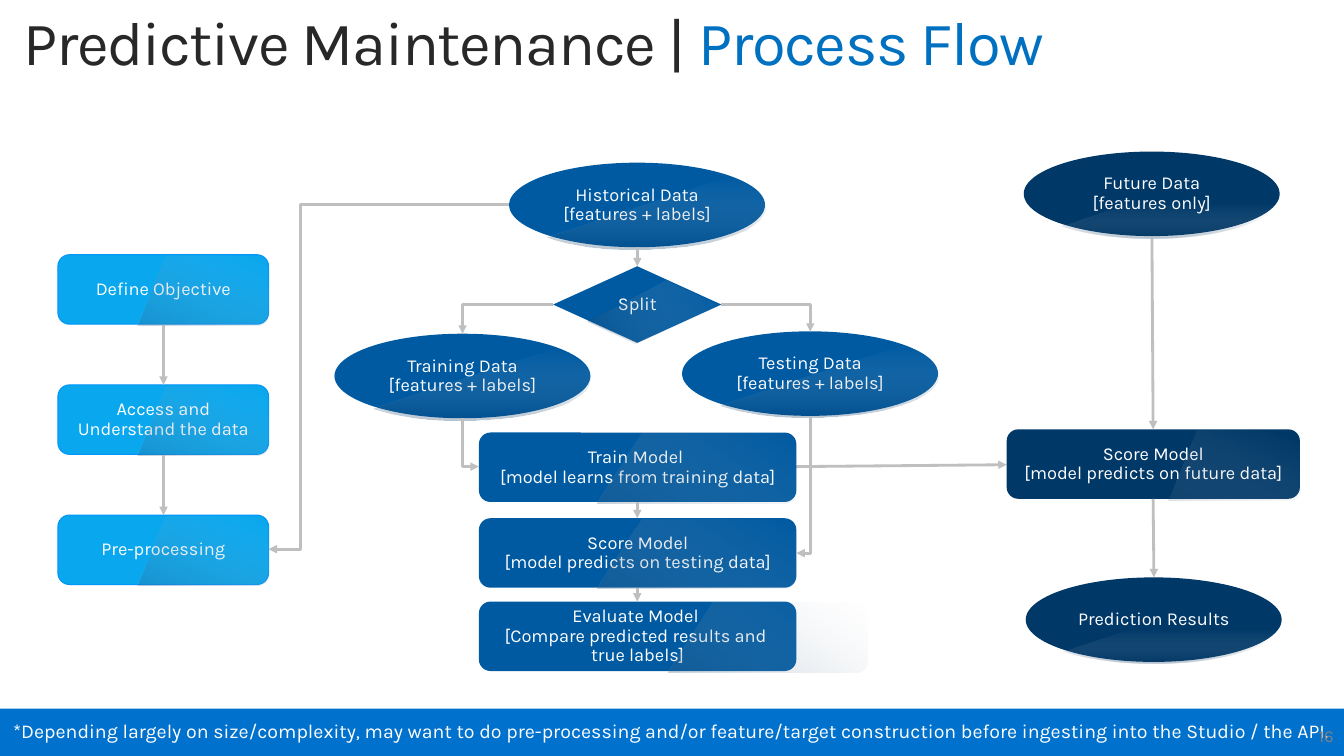
from math import cos, pi, radians, sin, tan

from lxml import etree
from pptx import Presentation
from pptx.dml.color import RGBColor
from pptx.enum.shapes import MSO_CONNECTOR as LINE, MSO_SHAPE as SHAPE
from pptx.enum.text import MSO_ANCHOR as ANCHOR, PP_ALIGN as ALIGN
from pptx.oxml import parse_xml
from pptx.oxml.ns import nsdecls, qn
from pptx.util import Cm, Pt

WHITE = RGBColor(0xFF, 0xFF, 0xFF)
INK = RGBColor(0x28, 0x28, 0x28)
ACCENT = RGBColor(0x00, 0x70, 0xC0)
BAR = RGBColor(0x00, 0x71, 0xCD)
SKY = RGBColor(0x08, 0xA7, 0xEE)
SKY_EDGE = RGBColor(0x01, 0x95, 0xF9)
BLUE = RGBColor(0x00, 0x5A, 0xA1)
NAVY = RGBColor(0x00, 0x38, 0x67)
GLOSS = RGBColor(0x01, 0x31, 0x5D)
ARROW = RGBColor(0xBF, 0xBF, 0xBF)
GREY = RGBColor(0x80, 0x80, 0x80)

BOX_H = 1.75
OVAL_W, OVAL_H = 6.45, 2.13
CORNER = 0.29


def write_text(tf, text, size=13, color=WHITE, align=ALIGN.CENTER,
               anchor=ANCHOR.MIDDLE, inset=(0, 0), spacing=0.9, accent=""):
    """Fill a text frame with formatted lines and an optional accent run."""
    tf.word_wrap = True
    tf.vertical_anchor = anchor
    tf.margin_left = tf.margin_right = Cm(inset[0])
    tf.margin_top = tf.margin_bottom = Cm(inset[1])
    for i, line in enumerate(text.split("\n")):
        p = tf.paragraphs[0] if i == 0 else tf.add_paragraph()
        p.text = line
        p.alignment = align
        p.line_spacing = spacing
        if accent:
            p.add_run().text = accent
        for r in p.runs:
            r.font.name = "Karla"
            r.font.size = Pt(size)
            r.font.color.rgb = ACCENT if r.text == accent else color


def add_label(s, x, y, w, h, text, **fmt):
    """Add a text box and return its text frame."""
    tf = s.shapes.add_textbox(Cm(x), Cm(y), Cm(w), Cm(h)).text_frame
    write_text(tf, text, **fmt)
    return tf


def add_node(s, kind, x, y, w, h, text, fill, edge=None, **fmt):
    """Add a filled preset shape with text."""
    sp = s.shapes.add_shape(kind, Cm(x), Cm(y), Cm(w), Cm(h))
    sp.shadow.inherit = False
    sp.fill.solid()
    sp.fill.fore_color.rgb = fill
    if edge:
        sp.line.color.rgb = edge
        sp.line.width = Pt(0.75)
    else:
        sp.line.fill.background()
    write_text(sp.text_frame, text, **fmt)


def turn(x, y, angle):
    """Rotate a point about the slide corner, clockwise in degrees."""
    a = radians(angle)
    return x * cos(a) - y * sin(a), x * sin(a) + y * cos(a)


def curve(cx, cy, rx, ry, start, stop):
    """Return an elliptical arc as two control points and an end point."""
    a, b = radians(start), radians(stop)
    k = 4 / 3 * tan((b - a) / 4)
    return [(cx + rx * (cos(a) - k * sin(a)), cy + ry * (sin(a) + k * cos(a))),
            (cx + rx * (cos(b) + k * sin(b)), cy + ry * (sin(b) - k * cos(b))),
            (cx + rx * cos(b), cy + ry * sin(b))]


def add_gloss(s, start, steps, angle=0, end=100):
    """Add a tilted translucent highlight; a step has one point or a curve's three."""
    steps = [[[Cm(v) for v in turn(*pt, -angle)] for pt in step] for step in steps]
    fb = s.shapes.build_freeform(*(Cm(v) for v in turn(*start, -angle)))
    fb.add_line_segments([step[-1] for step in steps], close=True)
    sp = fb.convert_to_shape()
    sp.shadow.inherit = False
    sp.line.fill.background()
    spPr = sp._element.spPr
    for step, ln in zip(steps, list(spPr.iter(qn("a:lnTo")))):
        if len(step) == 3:
            bez = etree.Element(qn("a:cubicBezTo"))
            for x, y in step:
                etree.SubElement(bez, qn("a:pt"), x=str(x - sp.left), y=str(y - sp.top))
            ln.getparent().replace(ln, bez)
    x, y = turn(sp.left + sp.width / 2, sp.top + sp.height / 2, angle)
    sp.left, sp.top = round(x - sp.width / 2), round(y - sp.height / 2)
    sp.rotation = angle
    sp.fill.background()
    none = spPr.find(qn("a:noFill"))
    stops = "".join(
        f'<a:gs pos="{pos * 1000}"><a:srgbClr val="{color}">'
        f'<a:alpha val="{alpha * 1000}"/></a:srgbClr></a:gs>'
        for pos, color, alpha in ((0, GLOSS, 29), (end, WHITE, 0)))
    spPr.replace(none, parse_xml(
        f'<a:gradFill {nsdecls("a")} rotWithShape="1"><a:gsLst>{stops}</a:gsLst>'
        '<a:lin ang="16200000" scaled="0"/></a:gradFill>'))


def add_box(s, x, y, w, text, fill, top=2.59, bottom=3.3, angle=22.4,
            shift=0, end=100, **fmt):
    """Add a rounded box with a slanted highlight at its right end."""
    add_node(s, SHAPE.ROUNDED_RECTANGLE, x, y, w, BOX_H, text, fill, **fmt)
    right, low = x + w + shift, y + BOX_H + 0.03
    cx = right - CORNER
    add_gloss(s, (right - top, y + 0.03), [
        [(cx, y + 0.03)],
        curve(cx, y + 0.03 + CORNER, CORNER, CORNER, -90, 0),
        [(right, low - CORNER)],
        curve(cx, low - CORNER, CORNER, CORNER, 0, 90),
        [(right - bottom, low)]], angle, end)


def add_oval(s, x, y, text, fill, end=100):
    """Add an ellipse with a highlight on its lower right half."""
    add_node(s, SHAPE.OVAL, x, y, OVAL_W, OVAL_H, text, fill)
    rx, ry = OVAL_W / 2, OVAL_H / 2
    half = x + rx, y + ry + 0.05, rx, ry
    start = half[0] + rx * cos(pi * 3 / 4), half[1] + ry * sin(pi * 3 / 4)
    add_gloss(s, start, [curve(*half, a, b) for a, b in ((135, 90), (90, 0), (0, -45))],
              end=end)


def add_arrow(s, x1, y1, x2, y2, bend=None, tip="tailEnd", adjust=None):
    """Add a straight or bent grey connector with one arrowhead."""
    kind = LINE.ELBOW if bend else LINE.STRAIGHT
    c = s.shapes.add_connector(kind, Cm(x1), Cm(y1), Cm(x2), Cm(y2))
    c.line.color.rgb = ARROW
    c.line.width = Pt(2)
    spPr = c._element.spPr
    etree.SubElement(spPr.find(qn("a:ln")), qn(f"a:{tip}"), type="triangle")
    etree.SubElement(spPr, qn("a:effectLst"))
    geom = spPr.find(qn("a:prstGeom"))
    if bend:
        geom.set("prst", bend)
    if adjust:
        etree.SubElement(geom.find(qn("a:avLst")), qn("a:gd"), name="adj1",
                         fmla=f"val {adjust}")


def add_flow(s):
    """Add the boxes, ellipses and decision of the process."""
    steps = ("Define Objective", "Access and Understand the data", "Pre-processing")
    for i, text in enumerate(steps):
        add_box(s, 1.46, 6.42 + 3.28 * i, 5.31, text, SKY, edge=SKY_EDGE,
                inset=(0.23, 0.1))
    add_node(s, SHAPE.DIAMOND, 13.94, 6.71, 4.24, 1.93, "Split", BLUE)
    add_gloss(s, (16.79, 7.06), [[(18.16, 7.7)], [(16.03, 8.66)], [(14.81, 8.1)]],
              63.9, 97)
    add_box(s, 25.37, 10.82, 7.39, "Score Model\n[model predicts on future data]",
            NAVY, end=75, inset=(0.23, 0.1))
    for y, text, shift in (
            (10.9, "Train Model \n[model learns from training data]", 0),
            (13.06, "Score Model\n[model predicts on testing data]", 0),
            (15.16, "Evaluate Model \n[Compare predicted results and \vtrue labels]", 1.78)):
        add_box(s, 12.07, y, 8, text, BLUE, top=3.89, bottom=5.03, angle=33.6,
                shift=shift)
    for x, y, text, fill, end in (
            (12.83, 4.1, "Historical Data\n[features + labels]", BLUE, 100),
            (8.43, 8.41, "Training Data\n[features + labels]", BLUE, 100),
            (17.19, 8.35, "Testing Data\n[features + labels]", BLUE, 100),
            (25.8, 3.82, "Future Data\n[features only]", NAVY, 47),
            (25.85, 14.55, "Prediction Results", NAVY, 47)):
        add_oval(s, x, y, text, fill, end)


def add_links(s):
    """Add the arrows between the steps."""
    for ends in (
            (16.06, 6.22, 16.06, 6.71), (16.06, 12.65, 16.06, 13.06),
            (16.06, 14.81, 16.06, 15.16), (29.03, 5.97, 29.06, 10.82),
            (29.06, 12.57, 29.08, 14.55), (4.12, 8.18, 4.12, 9.7),
            (4.12, 11.46, 4.12, 12.98)):
        add_arrow(s, *ends)
    for ends, tip in (
            ((13.94, 7.67, 11.66, 8.41), "tailEnd"),
            ((18.18, 7.67, 20.42, 8.36), "tailEnd"),
            ((12.07, 11.76, 11.66, 10.54), "headEnd"),
            ((20.07, 13.94, 20.42, 10.49), "headEnd")):
        add_arrow(s, *ends, bend="bentConnector2", tip=tip)
    add_arrow(s, 12.83, 5.16, 6.77, 13.84, bend="bentConnector3", adjust=86700)


def main():
    """Build and save the slide."""
    prs = Presentation()
    prs.slide_width, prs.slide_height = Cm(33.87), Cm(19.05)
    s = prs.slides.add_slide(prs.slide_layouts[6])
    add_node(s, SHAPE.RECTANGLE, 0, 17.86, 33.87, 1.19,
             "*Depending largely on size/complexity, may want to do pre-processing "
             "and/or feature/target construction before ingesting into "
             "the Studio / the API.", BAR, size=14)
    add_label(s, 26.24, 18.03, 7.62, 1.02, "16", size=12, color=GREY,
              align=ALIGN.RIGHT, inset=(0.25, 0.13), spacing=1.0)
    title = add_label(s, 0.34, 0.19, 33.5, 2.26, "Predictive Maintenance | ", size=44,
                      color=INK, align=ALIGN.LEFT, anchor=ANCHOR.TOP,
                      inset=(0.25, 0.13), accent="Process Flow")
    for r in title.paragraphs[0].runs:
        r._r.get_or_add_rPr().set("spc", "-100")
    add_arrow(s, 19.81, 11.76, 25.37, 11.71)
    add_flow(s)
    add_links(s)
    prs.save("out.pptx")


if __name__ == "__main__":
    main()
